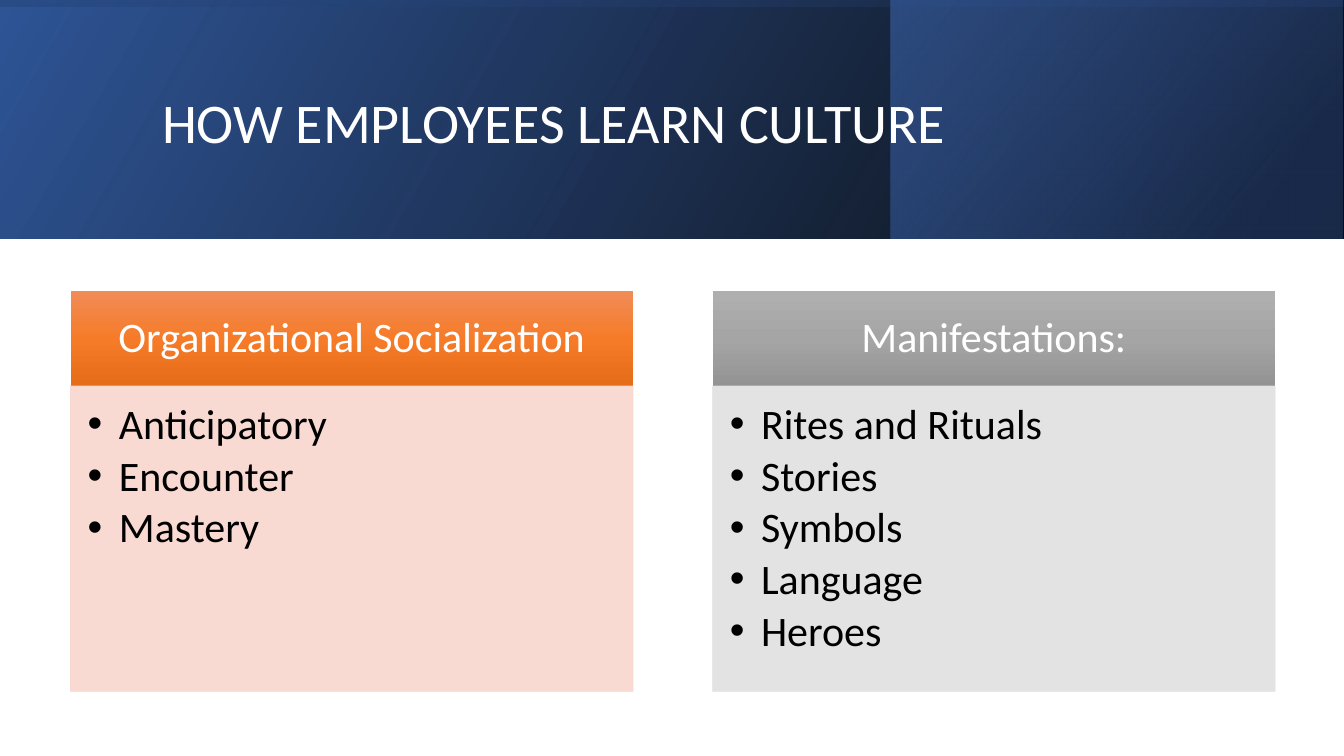
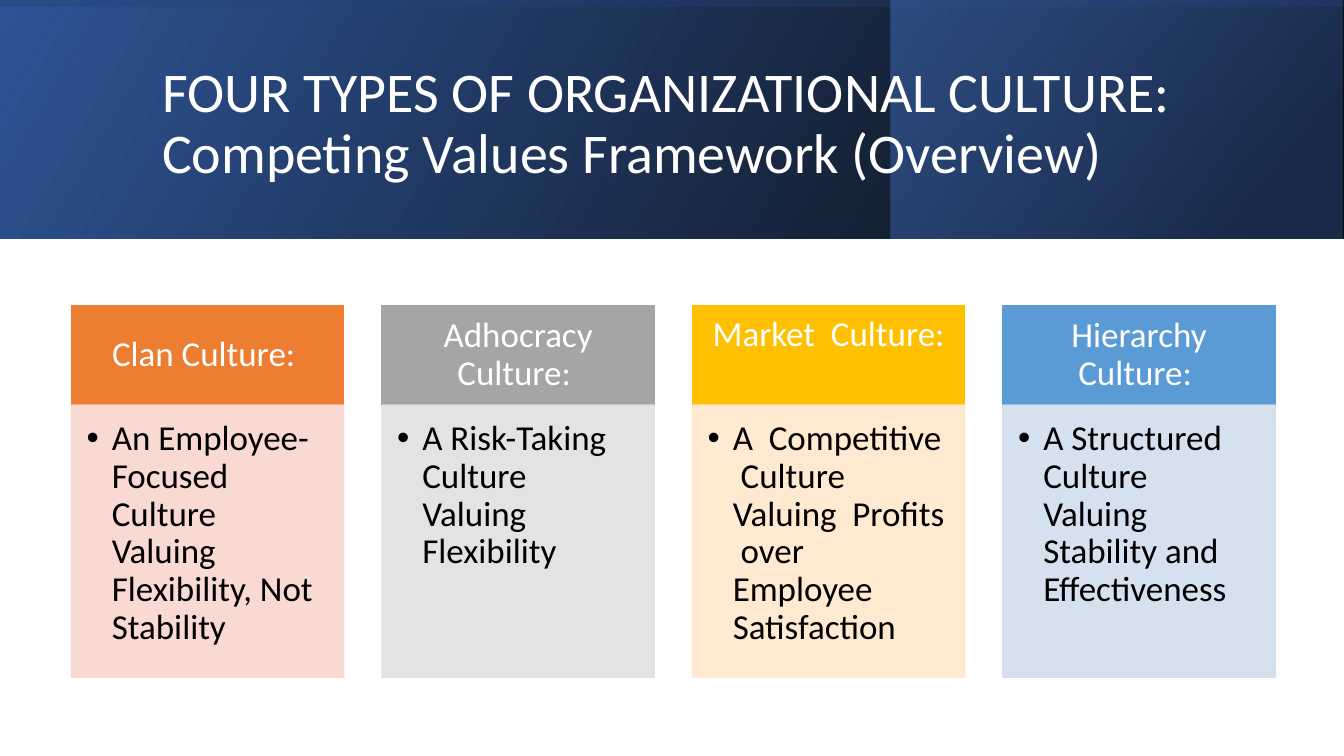
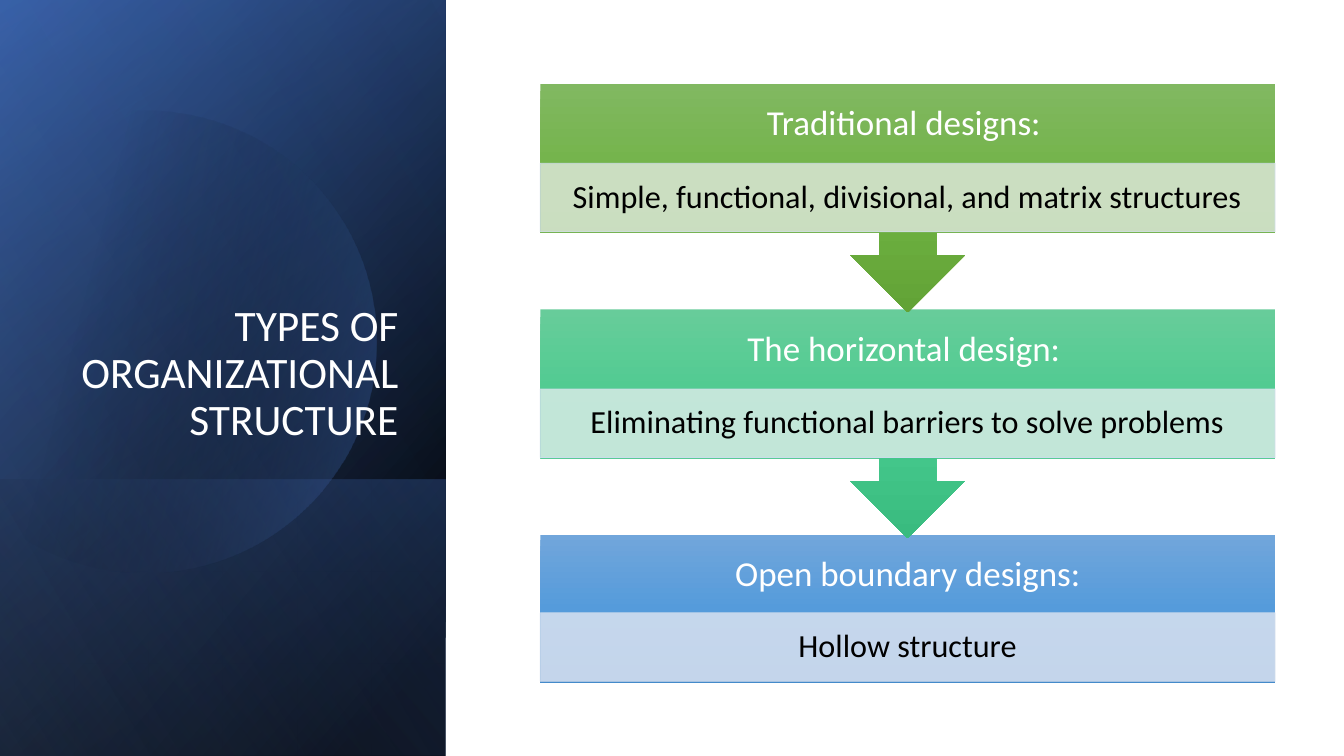
from dataclasses import dataclass
from math import cos, radians, sin, tan
from typing import NamedTuple

from lxml import etree
from pptx import Presentation
from pptx import util as u
from pptx.dml.color import RGBColor
from pptx.enum import shapes, text
from pptx.oxml.ns import qn

PX = 9144
WIDTH, HEIGHT = 1333, 750
BAND_HEIGHT = 237
SIDE_WIDTH = 442
FONT = "Calibri"
BULLET_FONT = "Arial"

WHITE = RGBColor(0xFF, 0xFF, 0xFF)
BLACK = RGBColor(0x00, 0x00, 0x00)
DEEP_BLUE = RGBColor(0x2F, 0x55, 0x97)
NAVY = RGBColor(0x20, 0x38, 0x64)
BLUE = RGBColor(0x44, 0x72, 0xC4)
LIGHT_BLUE = RGBColor(0x8F, 0xAA, 0xDC)
ORANGE = RGBColor(0xED, 0x7D, 0x31)
GREY = RGBColor(0xA5, 0xA5, 0xA5)
GOLD = RGBColor(0xFF, 0xC0, 0x00)
SKY = RGBColor(0x5B, 0x9B, 0xD5)
PALE_ORANGE = RGBColor(0xF8, 0xD7, 0xCE)
PALE_GREY = RGBColor(0xE1, 0xE1, 0xE1)
PALE_GOLD = RGBColor(0xFF, 0xE8, 0xCC)
PALE_SKY = RGBColor(0xD2, 0xDE, 0xEF)
PALE_TEAL = RGBColor(0xD0, 0xEA, 0xE1)
PALE_GREEN = RGBColor(0xD5, 0xE3, 0xCF)

RECTANGLE = shapes.MSO_SHAPE.RECTANGLE
LEFT, CENTER, RIGHT = text.PP_ALIGN.LEFT, text.PP_ALIGN.CENTER, text.PP_ALIGN.RIGHT
TOP, MIDDLE, BOTTOM = text.MSO_ANCHOR.TOP, text.MSO_ANCHOR.MIDDLE, text.MSO_ANCHOR.BOTTOM


class Frame(NamedTuple):
    x: int
    y: int
    w: int
    h: int

    def emu(self) -> list[int]:
        return [side * PX for side in self]


class Insets(NamedTuple):
    left: int
    top: int
    right: int
    bottom: int


class Stop(NamedTuple):
    position: int
    color: RGBColor
    alpha: int = 100


@dataclass(frozen=True)
class Gradient:
    angle: int
    stops: tuple[Stop, ...]


@dataclass(frozen=True)
class Panel:
    """A gradient rectangle, given by the area it covers once turned."""
    area: Frame
    turn: int
    gradient: Gradient


@dataclass(frozen=True)
class Column:
    heading: str
    points: tuple[str, ...]
    heading_fill: RGBColor | Gradient
    body_fill: RGBColor
    heading_anchor: text.MSO_ANCHOR = MIDDLE


@dataclass(frozen=True)
class ColumnStyle:
    left: int
    top: int
    width: int
    gap: int
    heading_height: int
    body_height: int
    size: int
    indent: int
    line_width: float
    heading_line: bool
    heading_insets: Insets
    body_insets: Insets


@dataclass(frozen=True)
class Stage:
    heading: str
    detail: str
    shape: shapes.MSO_SHAPE
    height: int
    detail_offset: int
    heading_fill: Gradient
    detail_fill: RGBColor


def shade(top: str, middle: str, bottom: str) -> Gradient:
    """Vertical three-colour gradient used behind headings."""
    colors = (RGBColor.from_string(code) for code in (top, middle, bottom))
    return Gradient(90, tuple(map(Stop, (0, 50, 100), colors)))


BAND_PANELS = (
    Panel(Frame(0, 0, WIDTH, BAND_HEIGHT), 0,
          Gradient(330, (Stop(0, BLACK, 96), Stop(100, DEEP_BLUE)))),
    Panel(Frame(884, 0, 448, BAND_HEIGHT), 0,
          Gradient(320, (Stop(19, NAVY, 68), Stop(100, BLUE, 48)))),
    Panel(Frame(0, 0, WIDTH, BAND_HEIGHT), 270,
          Gradient(350, (Stop(23, DEEP_BLUE, 16), Stop(99, BLACK, 45)))),
)
SIDE = Frame(0, 0, SIDE_WIDTH, HEIGHT)
SIDE_PANELS = (
    Panel(SIDE, 90, Gradient(50, (Stop(8, BLACK), Stop(100, DEEP_BLUE)))),
    Panel(SIDE, 90, Gradient(30, (Stop(0, BLACK, 0), Stop(99, BLUE, 46)))),
    Panel(Frame(0, 476, SIDE_WIDTH, 274), 90,
          Gradient(130, (Stop(2, BLUE, 29), Stop(100, BLACK, 30)))),
)
SIDE_GLOW = Gradient(14, (Stop(29, BLACK, 0), Stop(100, BLUE, 43)))
SIDE_VEIL = Panel(SIDE, 90, Gradient(120, (Stop(0, BLACK, 0), Stop(99, LIGHT_BLUE, 11))))

LEARNING = (
    Column("Organizational Socialization", ("Anticipatory", "Encounter", "Mastery"),
           shade("F18C57", "F67B28", "E56C19"), PALE_ORANGE),
    Column("Manifestations:",
           ("Rites and Rituals", "Stories", "Symbols", "Language", "Heroes"),
           shade("AFAFAF", "A5A5A5", "939393"), PALE_GREY),
)
LEARNING_STYLE = ColumnStyle(
    left=70, top=289, width=558, gap=79, heading_height=94, body_height=303,
    size=30, indent=31, line_width=0.5, heading_line=False,
    heading_insets=Insets(23, 13, 23, 13), body_insets=Insets(17, 17, 23, 26))

CULTURES = (
    Column("Clan Culture: ",
           ("An Employee-Focused Culture Valuing Flexibility, Not Stability",),
           ORANGE, PALE_ORANGE),
    Column("Adhocracy Culture: ", ("A Risk-Taking Culture Valuing Flexibility",),
           GREY, PALE_GREY),
    Column("Market  Culture:",
           ("A  Competitive  Culture  Valuing  Profits  over  Employee  Satisfaction",),
           GOLD, PALE_GOLD, TOP),
    Column("Hierarchy Culture: ",
           ("A Structured Culture Valuing Stability and Effectiveness",),
           SKY, PALE_SKY),
)
CULTURES_STYLE = ColumnStyle(
    left=71, top=303, width=270, gap=38, heading_height=99, body_height=270,
    size=25, indent=25, line_width=1, heading_line=True,
    heading_insets=Insets(19, 11, 19, 11), body_insets=Insets(15, 15, 19, 22))

CALLOUT = shapes.MSO_SHAPE.DOWN_ARROW_CALLOUT
STAGES = (
    Stage("Traditional designs: ", "Simple, functional, divisional, and matrix structures",
          CALLOUT, 227, 79, shade("81B861", "6FB242", "62A336"), PALE_GREEN),
    Stage("The horizontal design: ", "Eliminating functional barriers to solve problems",
          CALLOUT, 227, 79, shade("67CC9A", "47CB8E", "39BB7F"), PALE_TEAL),
    Stage("Open boundary designs:", "Hollow structure",
          RECTANGLE, 147, 77, shade("71A6DB", "559BDB", "448ACA"), PALE_SKY),
)
STAGE_LEFT, STAGE_WIDTH = 536, 729
STAGE_TOP, STAGE_PITCH = 83, 224


def set_alpha(holder, alpha: int) -> None:
    """Make the solid fill inside a shape or line element translucent."""
    color = holder.find(qn("a:solidFill")).find(qn("a:srgbClr"))
    etree.SubElement(color, qn("a:alpha"), val=str(alpha * 1000))


def paint(shape, fill: RGBColor | Gradient, alpha: int = 100) -> None:
    shape.fill.solid()
    properties = shape._element.spPr
    if isinstance(fill, RGBColor):
        shape.fill.fore_color.rgb = fill
        if alpha < 100:
            set_alpha(properties, alpha)
        return
    gradient = etree.Element(qn("a:gradFill"), rotWithShape="1")
    stops = etree.SubElement(gradient, qn("a:gsLst"))
    for stop in fill.stops:
        mark = etree.SubElement(stops, qn("a:gs"), pos=str(stop.position * 1000))
        color = etree.SubElement(mark, qn("a:srgbClr"), val=str(stop.color))
        if stop.alpha < 100:
            etree.SubElement(color, qn("a:alpha"), val=str(stop.alpha * 1000))
    etree.SubElement(gradient, qn("a:lin"), ang=str(fill.angle * 60000), scaled="0")
    properties.replace(properties.find(qn("a:solidFill")), gradient)


def add_block(slide, frame: Frame, fill: RGBColor | Gradient, *, kind=RECTANGLE,
              alpha: int = 100, line: RGBColor | None = None, line_width: float = 1):
    block = slide.shapes.add_shape(kind, *frame.emu())
    block.shadow.inherit = False
    paint(block, fill, alpha)
    if line is None:
        block.line.fill.background()
    else:
        block.line.color.rgb = line
        block.line.width = u.Pt(line_width)
        if alpha < 100:
            set_alpha(block.line._ln, alpha)
    return block


def write(shape, *paragraphs: str, size: int, color: RGBColor = WHITE, align=CENTER,
          anchor=MIDDLE, insets: Insets = Insets(10, 5, 10, 5), bullet_indent: int = 0,
          space_after: float = 0) -> None:
    frame = shape.text_frame
    frame.word_wrap = True
    frame.vertical_anchor = anchor
    for side, inset in insets._asdict().items():
        setattr(frame, f"margin_{side}", inset * PX)
    for index, words in enumerate(paragraphs):
        paragraph = frame.add_paragraph() if index else frame.paragraphs[0]
        paragraph.alignment = align
        paragraph.line_spacing = 0.9
        paragraph.space_after = u.Pt(space_after)
        if bullet_indent:
            properties = paragraph._p.get_or_add_pPr()
            properties.set("marL", str(bullet_indent * PX))
            properties.set("indent", str(-bullet_indent * PX))
            etree.SubElement(properties, qn("a:buFont"), typeface=BULLET_FONT)
            etree.SubElement(properties, qn("a:buChar"), char="•")
        run = paragraph.add_run()
        run.text = words
        run.font.name = FONT
        run.font.size = u.Pt(size)
        run.font.color.rgb = color


def add_text(slide, frame: Frame, words: str, **style) -> None:
    write(slide.shapes.add_textbox(*frame.emu()), words, **style)


def add_panel(slide, panel: Panel) -> None:
    x, y, w, h = panel.area
    if panel.turn % 180:
        x, y, w, h = x + (w - h) // 2, y + (h - w) // 2, h, w
    block = add_block(slide, Frame(x, y, w, h), panel.gradient)
    block.rotation = panel.turn
    block._element.spPr.find(qn("a:xfrm")).set("flipH", "1")


def add_side_glow(slide) -> None:
    """Large disc cut off by the left edge, its rim made of four curves."""
    center_x, center_y, radius, reach, step = 144, 339, 229, 134, 67
    handle = 4 / 3 * tan(radians(step / 4))

    def rim_point(angle: int, pull: float = 0) -> tuple[int, int]:
        """Point on the rim, moved along its tangent by a share of the radius."""
        c, s = cos(radians(angle)), sin(radians(angle))
        return (round((center_x + radius * (c - pull * s)) * PX),
                round((center_y + radius * (s + pull * c)) * PX))

    builder = slide.shapes.build_freeform(*rim_point(-reach))
    builder.add_line_segments(
        [point for start in range(-reach, reach, step)
         for point in (rim_point(start, handle), rim_point(start + step, -handle),
                       rim_point(start + step))], close=True)
    glow = builder.convert_to_shape()
    segments = list(glow._element.iter(qn("a:lnTo")))
    for first in range(0, len(segments), 3):
        curve = etree.Element(qn("a:cubicBezTo"))
        segments[first].addprevious(curve)
        for segment in segments[first:first + 3]:
            curve.append(segment[0])
            segment.getparent().remove(segment)
    glow.shadow.inherit = False
    glow.line.fill.background()
    paint(glow, SIDE_GLOW)


def add_title_band(slide, title: str) -> None:
    for panel in BAND_PANELS:
        add_panel(slide, panel)
    add_text(slide, Frame(151, 38, 1063, 172), title, size=40, align=LEFT)


def add_title_side(slide, title: str) -> None:
    for panel in SIDE_PANELS:
        add_panel(slide, panel)
    add_side_glow(slide)
    add_panel(slide, SIDE_VEIL)
    add_text(slide, Frame(64, 184, 341, 262), title, size=31, align=RIGHT, anchor=BOTTOM)


def add_columns(slide, columns: tuple[Column, ...], style: ColumnStyle) -> None:
    for index, column in enumerate(columns):
        x = style.left + index * (style.width + style.gap)
        heading = add_block(slide, Frame(x, style.top, style.width, style.heading_height),
                            column.heading_fill, line_width=style.line_width,
                            line=column.heading_fill if style.heading_line else None)
        write(heading, column.heading, size=style.size, insets=style.heading_insets,
              anchor=column.heading_anchor)
        body = add_block(slide, Frame(x, style.top + style.heading_height, style.width,
                                      style.body_height),
                         column.body_fill, alpha=90, line=column.body_fill,
                         line_width=style.line_width)
        write(body, *column.points, size=style.size, color=BLACK, align=LEFT, anchor=TOP,
              insets=style.body_insets, bullet_indent=style.indent,
              space_after=0.15 * style.size)


def add_stages(slide) -> None:
    """Draw from the last stage up, so each arrow lies over the next stage."""
    for index, stage in reversed(list(enumerate(STAGES))):
        top = STAGE_TOP + index * STAGE_PITCH
        add_block(slide, Frame(STAGE_LEFT, top, STAGE_WIDTH, stage.height),
                  stage.heading_fill, kind=stage.shape)
        add_text(slide, Frame(STAGE_LEFT, top, STAGE_WIDTH, 80), stage.heading,
                 size=25, insets=Insets(19, 19, 19, 19))
        detail = add_block(slide, Frame(STAGE_LEFT, top + stage.detail_offset,
                                        STAGE_WIDTH, 68),
                           stage.detail_fill, alpha=90, line=PALE_SKY, line_width=0.5)
        write(detail, stage.detail, size=23, color=BLACK, insets=Insets(18, 3, 18, 3))


def main() -> None:
    deck = Presentation()
    deck.slide_width, deck.slide_height = u.Inches(13.333), HEIGHT * PX
    blank = deck.slide_layouts[6]

    learning = deck.slides.add_slide(blank)
    add_title_band(learning, "HOW EMPLOYEES LEARN CULTURE")
    add_columns(learning, LEARNING, LEARNING_STYLE)

    cultures = deck.slides.add_slide(blank)
    add_title_band(cultures, "FOUR TYPES OF ORGANIZATIONAL CULTURE: "
                             "Competing Values Framework (Overview)")
    add_columns(cultures, CULTURES, CULTURES_STYLE)

    structures = deck.slides.add_slide(blank)
    add_title_side(structures, "TYPES OF ORGANIZATIONAL STRUCTURE")
    add_stages(structures)

    deck.save("out.pptx")


if __name__ == "__main__":
    main()
